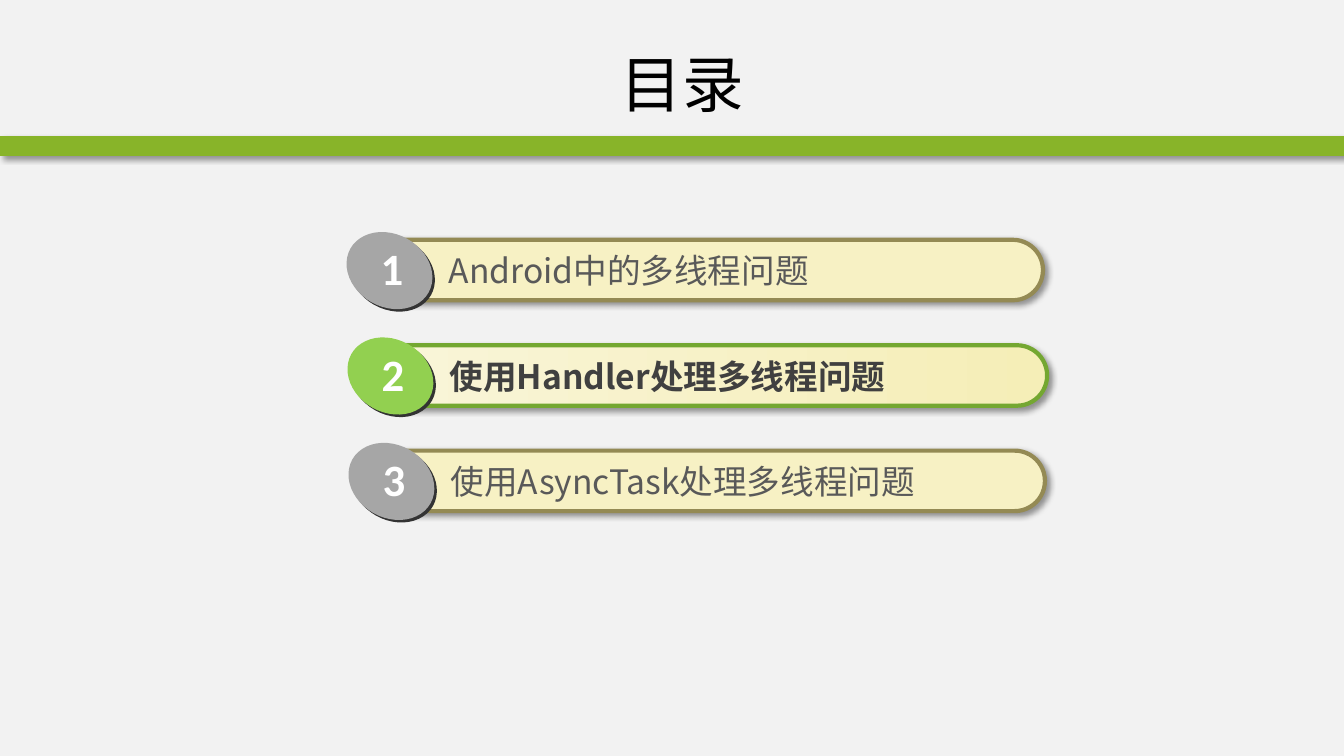
from lxml import etree
from pptx import Presentation
from pptx import util as u
from pptx.dml.color import RGBColor
from pptx.enum import shapes, text
from pptx.oxml import ns

BACKGROUND = RGBColor(0xF2, 0xF2, 0xF2)
BAND = RGBColor(0x88, 0xB4, 0x29)
CREAM = RGBColor(0xF7, 0xF1, 0xC4)
CREAM_LIGHT = RGBColor(0xF9, 0xF5, 0xD9)
CREAM_DEEP = RGBColor(0xF5, 0xEE, 0xB7)
OLIVE = RGBColor(0x94, 0x8A, 0x54)
GREEN = RGBColor(0x74, 0xA7, 0x31)
LIME = RGBColor(0x92, 0xD0, 0x50)
GRAY = RGBColor(0xA6, 0xA6, 0xA6)
BADGE_EDGE = RGBColor(0x33, 0x33, 0x33)
TEXT = RGBColor(0x59, 0x59, 0x59)
TEXT_ACTIVE = RGBColor(0x40, 0x40, 0x40)
BLACK = RGBColor(0, 0, 0)
WHITE = RGBColor(0xFF, 0xFF, 0xFF)

CJK_FONT = "Noto Sans CJK SC"
NUMBER_FONT = "Calibri"

ITEMS = ["Android中的多线程问题", "使用Handler处理多线程问题", "使用AsyncTask处理多线程问题"]
ACTIVE = 1
FIRST_LEFT, FIRST_TOP = 262, 171.3
STEP_X, STEP_Y = 0.7, 75.3


class AgendaSlide:
    def __init__(self, prs):
        self.s = prs.slides.add_slide(prs.slide_layouts[6])
        self.s.background.fill.solid()
        self.s.background.fill.fore_color.rgb = BACKGROUND

    def shape(self, parent, kind, box, fill, line=None, shadow=False):
        """Add a preset shape; a pair of colours as fill makes a gradient."""
        sp = parent.add_shape(kind, *map(u.Pt, box))
        sp.shadow.inherit = False
        if isinstance(fill, list):
            sp.fill.gradient()
            sp.fill.gradient_angle = 0
            for stop, color in zip(sp.fill.gradient_stops, fill):
                stop.color.rgb = color
        else:
            sp.fill.solid()
            sp.fill.fore_color.rgb = fill
        if line is None:
            sp.line.fill.background()
        else:
            sp.line.color.rgb = line
            sp.line.width = u.Pt(3)
        if shadow:
            self.drop_shadow(sp)
        return sp

    def drop_shadow(self, sp):
        effects = sp._element.spPr.find(ns.qn("a:effectLst"))
        outer = etree.SubElement(
            effects, ns.qn("a:outerShdw"), blurRad=str(u.Pt(4)), dist=str(u.Pt(3)),
            dir=str(45 * 60000), algn="tl", rotWithShape="0")
        color = etree.SubElement(outer, ns.qn("a:srgbClr"), val="000000")
        etree.SubElement(color, ns.qn("a:alpha"), val="40000")

    def label(self, parent, box, words, size, color, font=CJK_FONT, bold=False, wrap=True):
        sp = parent.add_textbox(*map(u.Pt, box))
        tf = sp.text_frame
        tf.text = words
        tf.word_wrap = wrap
        tf.auto_size = text.MSO_AUTO_SIZE.SHAPE_TO_FIT_TEXT
        r = tf.paragraphs[0].runs[0]
        r.font.size = u.Pt(size)
        r.font.bold = bold
        r.font.color.rgb = color
        r.font.name = font
        etree.SubElement(r._r.get_or_add_rPr(), ns.qn("a:ea"), typeface=font)
        return tf

    def title(self, words):
        tf = self.label(self.s.shapes, (100, 21.6, 774.7, 75.6), words, 44, BLACK)
        tf.auto_size = text.MSO_AUTO_SIZE.NONE
        tf.vertical_anchor = text.MSO_ANCHOR.MIDDLE
        tf.paragraphs[0].alignment = text.PP_ALIGN.CENTER

    def badge(self, parent, x, y, number, color):
        for shift, fill in ((1.8, BADGE_EDGE), (0, color)):
            sp = self.shape(parent, shapes.MSO_SHAPE.OVAL,
                            (x + shift, y + shift, 64, 52), fill)
            sp.rotation = 29.3
        self.label(parent, (x + 18.7, y + 1.3, 31, 46), str(number), 32, WHITE,
                   NUMBER_FONT, bold=True, wrap=False)

    def item(self, index, words, active):
        x, y = FIRST_LEFT + index * STEP_X, FIRST_TOP + index * STEP_Y
        parent = self.s.shapes.add_group_shape().shapes
        pill = self.shape(parent, shapes.MSO_SHAPE.ROUNDED_RECTANGLE,
                          (x, y, 485.3 if active else 483, 43.2),
                          [CREAM_LIGHT, CREAM_DEEP] if active else CREAM,
                          GREEN if active else OLIVE, shadow=True)
        pill.adjustments[0] = 0.5
        self.label(parent, (x + 51.4, y + 4, 385, 36.5), words, 24,
                   TEXT_ACTIVE if active else TEXT, bold=active)
        self.badge(parent, x - 15.8, y - 4, index + 1, LIME if active else GRAY)


def main():
    prs = Presentation()
    prs.slide_width, prs.slide_height = u.Pt(960), u.Pt(540)
    agenda = AgendaSlide(prs)
    agenda.shape(agenda.s.shapes, shapes.MSO_SHAPE.RECTANGLE,
                 (0, 97.2, 960, 14.2), BAND, shadow=True)
    agenda.title("目录")
    for index, words in enumerate(ITEMS):
        agenda.item(index, words, index == ACTIVE)
    prs.save("out.pptx")


if __name__ == "__main__":
    main()
